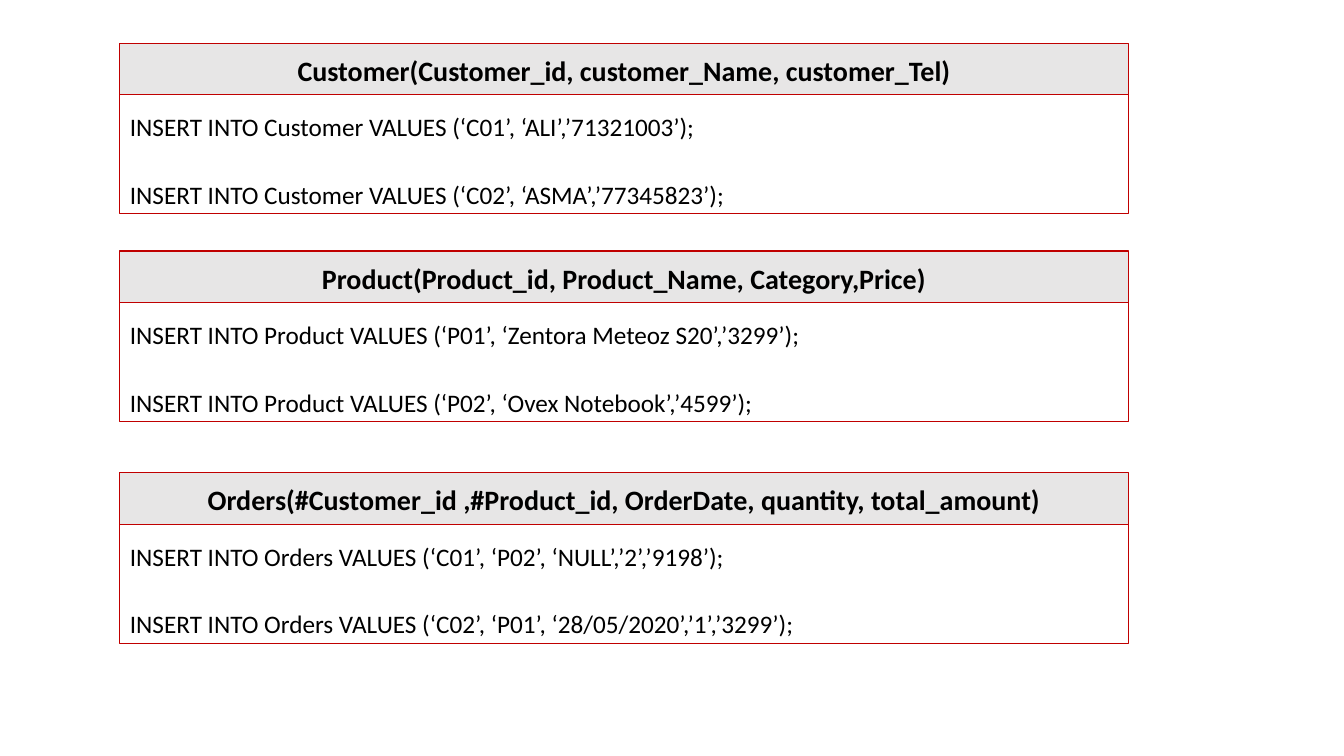
from pptx import Presentation
from pptx.dml.color import RGBColor
from pptx.enum.shapes import MSO_SHAPE
from pptx.enum.text import MSO_ANCHOR as Anchor, PP_ALIGN as Align
from pptx.util import Inches, Pt

# Content: header top in inches, relation, statements
TABLES = [
    (0.43, "Customer(Customer_id, customer_Name, customer_Tel)", [
        "INSERT INTO Customer VALUES (‘C01’, ‘ALI’,’71321003’);",
        "INSERT INTO Customer VALUES (‘C02’, ‘ASMA’,’77345823’);"]),
    (2.49, "Product(Product_id, Product_Name, Category,Price)", [
        "INSERT INTO Product VALUES (‘P01’, ‘Zentora Meteoz S20’,’3299’);",
        "INSERT INTO Product VALUES (‘P02’, ‘Ovex Notebook’,’4599’);"]),
    (4.69, "Orders(#Customer_id ,#Product_id, OrderDate, quantity, total_amount)", [
        "INSERT INTO Orders VALUES (‘C01’, ‘P02’, ‘NULL’,’2’,’9198’);",
        "INSERT INTO Orders VALUES (‘C02’, ‘P01’, ‘28/05/2020’,’1’,’3299’);"]),
]

# Theme and layout
THEME = {
    "line": RGBColor(0xC0, 0x00, 0x00),
    "text": RGBColor(0x00, 0x00, 0x00),
    "header": {"fill": RGBColor(0xE7, 0xE6, 0xE6), "anchor": Anchor.MIDDLE,
               "font": {"name": "Calibri", "size": Pt(20), "bold": True},
               "paragraph": {"alignment": Align.CENTER, "line_spacing": 1.07}},
    "body": {"fill": None, "anchor": Anchor.TOP,
             "font": {"name": "Calibri", "size": Pt(18), "bold": False},
             "paragraph": {"alignment": Align.LEFT, "line_spacing": 1.4}},
}
SPACING = {"space_before": Pt(10), "space_after": Pt(8)}
LEFT, WIDTH = 1.19, 10
HEADER_HEIGHT, BODY_HEIGHT = 0.51, 1.18


def set_all(target, values):
    for name, value in values.items():
        setattr(target, name, value)


def add_box(slide, top, height, lines, style):
    shape = slide.shapes.add_shape(
        MSO_SHAPE.RECTANGLE, Inches(LEFT), Inches(top), Inches(WIDTH), Inches(height))
    shape.shadow.inherit = False
    if style["fill"] is None:
        shape.fill.background()
    else:
        shape.fill.solid()
        shape.fill.fore_color.rgb = style["fill"]
    shape.line.color.rgb = THEME["line"]
    shape.line.width = Pt(0.75)
    frame = shape.text_frame
    set_all(frame, {"word_wrap": True, "vertical_anchor": style["anchor"]})
    for index, line in enumerate(lines):
        paragraph = frame.add_paragraph() if index else frame.paragraphs[0]
        set_all(paragraph, {**SPACING, **style["paragraph"]})
        run = paragraph.add_run()
        run.text = line
        set_all(run.font, style["font"])
        run.font.color.rgb = THEME["text"]


# Build the slide
presentation = Presentation()
set_all(presentation, {"slide_width": Inches(13.33), "slide_height": Inches(7.5)})
slide = presentation.slides.add_slide(presentation.slide_layouts[6])

for top, relation, statements in TABLES:
    add_box(slide, top + HEADER_HEIGHT, BODY_HEIGHT, statements, THEME["body"])
    add_box(slide, top, HEADER_HEIGHT, [relation], THEME["header"])

presentation.save("out.pptx")
